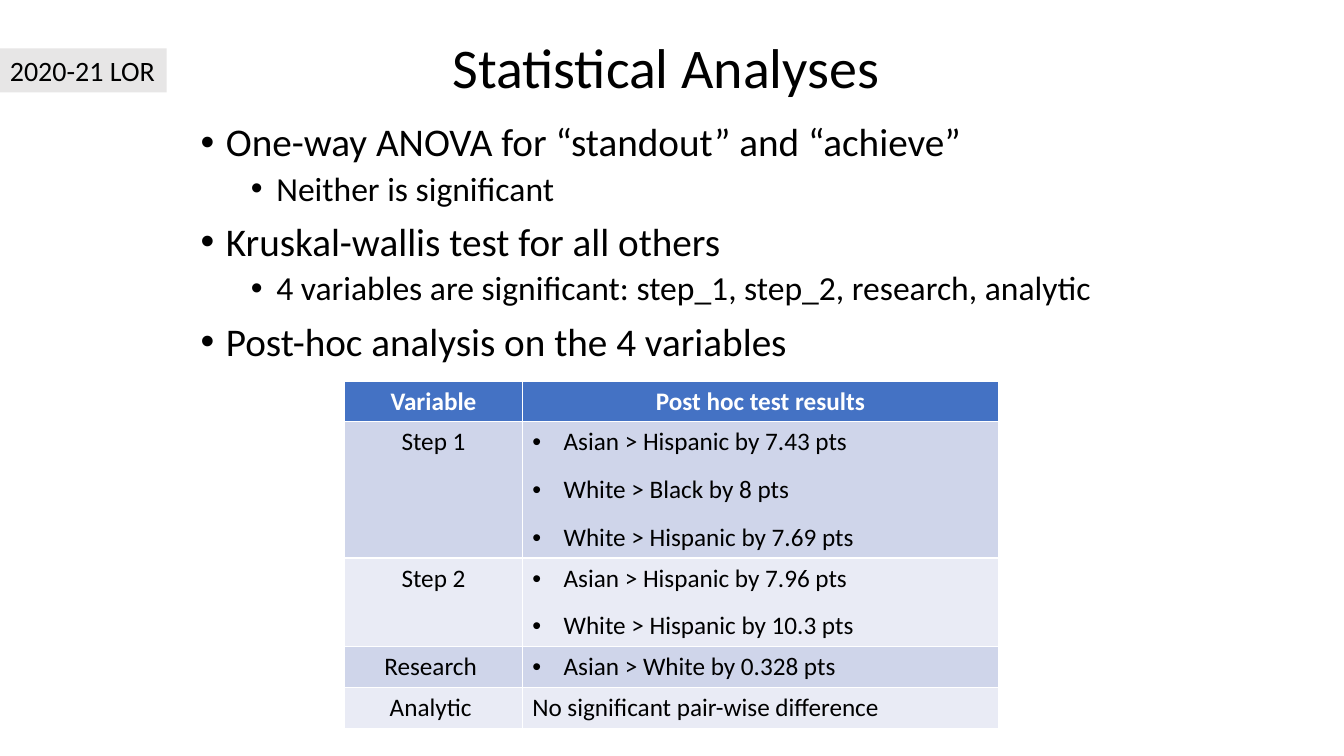
import pptx
import pptx.util
import pptx.dml.color
import pptx.enum.text
import pptx.enum.shapes
import lxml.etree

Cm = pptx.util.Cm
Pt = pptx.util.Pt
ALIGN = pptx.enum.text.PP_ALIGN
ANCHOR = pptx.enum.text.MSO_ANCHOR
AUTO_SIZE = pptx.enum.text.MSO_AUTO_SIZE
DRAWING = "{http://schemas.openxmlformats.org/drawingml/2006/main}"


def style_runs(paragraph, size, color="000000", bold=False):
    for run in paragraph.runs:
        run.font.name = "Calibri"
        run.font.size = Pt(size)
        run.font.bold = bold
        run.font.color.rgb = pptx.dml.color.RGBColor.from_string(color)


def add_bullet(paragraph, left, hanging):
    properties = paragraph._p.get_or_add_pPr()
    properties.set("marL", str(Cm(left)))
    properties.set("indent", str(-Cm(hanging)))
    lxml.etree.SubElement(properties, DRAWING + "buFont", typeface="Arial")
    lxml.etree.SubElement(properties, DRAWING + "buChar", char="•")


presentation = pptx.Presentation()
presentation.slide_width = Cm(33.87)
presentation.slide_height = Cm(19.05)
slide = presentation.slides.add_slide(presentation.slide_layouts[1])

title = slide.shapes.title
title.left, title.top, title.width, title.height = Cm(4.8), Cm(0.79), Cm(24.28), Cm(1.98)
title.text_frame.text = "Statistical Analyses "
title.text_frame.auto_size = AUTO_SIZE.NONE
title.text_frame.vertical_anchor = ANCHOR.MIDDLE
title_paragraph = title.text_frame.paragraphs[0]
title_paragraph.alignment = ALIGN.CENTER
title_paragraph.line_spacing = 0.9
style_runs(title_paragraph, 40)

body = slide.placeholders[1]
body.left, body.top, body.width, body.height = Cm(4.8), Cm(2.97), Cm(24.28), Cm(14.17)
outline = [
    (0, "One-way ANOVA for “standout” and “achieve”"),
    (1, "Neither is significant"),
    (0, "Kruskal-wallis test for all others"),
    (1, "4 variables are significant: step_1, step_2, research, analytic"),
    (0, "Post-hoc analysis on the 4 variables"),
]
body.text_frame.text = "\n".join(text for level, text in outline)
body.text_frame.auto_size = AUTO_SIZE.NONE
for paragraph, (level, text) in zip(body.text_frame.paragraphs, outline):
    paragraph.level = level
    paragraph.line_spacing = 0.9
    paragraph.space_before = Pt(5 if level else 10)
    add_bullet(paragraph, 0.64 + 1.27 * level, 0.64)
    style_runs(paragraph, 24 if level else 28)

results = [
    ("Variable", ["Post hoc test results"], 1.03),
    ("Step 1", ["Asian > Hispanic by 7.43 pts", "White > Black by 8 pts",
                "White > Hispanic by 7.69 pts"], 3.43),
    ("Step 2", ["Asian > Hispanic by 7.96 pts", "White > Hispanic by 10.3 pts"], 2.23),
    ("Research ", ["Asian > White by 0.328 pts"], 1.03),
    ("Analytic ", ["No significant pair-wise difference"], 1.03),
]
table = slide.shapes.add_table(
    len(results), 2, Cm(8.69), Cm(9.6), Cm(16.48), Cm(8.75)).table
table.columns[0].width = Cm(4.47)
table.columns[1].width = Cm(12.01)
for row, (variable, findings, height) in enumerate(results):
    table.rows[row].height = Cm(height)
    is_header = row == 0
    fill_color = "4472C4" if is_header else ("E9EBF5", "CFD5EA")[row % 2]
    for column, lines in enumerate([[variable], findings]):
        cell = table.cell(row, column)
        cell.fill.solid()
        cell.fill.fore_color.rgb = pptx.dml.color.RGBColor.from_string(fill_color)
        cell.text_frame.text = "\n".join(lines)
        for paragraph in cell.text_frame.paragraphs:
            if is_header or column == 0:
                paragraph.alignment = ALIGN.CENTER
            elif ">" in paragraph.text:
                if len(lines) > 1:
                    paragraph.space_before = Pt(6)
                    paragraph.space_after = Pt(6)
                add_bullet(paragraph, 0.79, 0.79)
            style_runs(paragraph, 18, "FFFFFF" if is_header else "000000", is_header)

label = slide.shapes.add_shape(
    pptx.enum.shapes.MSO_SHAPE.RECTANGLE, Cm(0), Cm(1.22), Cm(4.2), Cm(1.11))
label.shadow.inherit = False
label.fill.solid()
label.fill.fore_color.rgb = pptx.dml.color.RGBColor.from_string("E7E6E6")
label.line.fill.background()
label.text_frame.text = "2020-21 LOR"
label.text_frame.word_wrap = False
label.text_frame.auto_size = AUTO_SIZE.SHAPE_TO_FIT_TEXT
label.text_frame.vertical_anchor = ANCHOR.TOP
label.text_frame.paragraphs[0].alignment = ALIGN.LEFT
style_runs(label.text_frame.paragraphs[0], 20)

presentation.save("out.pptx")
